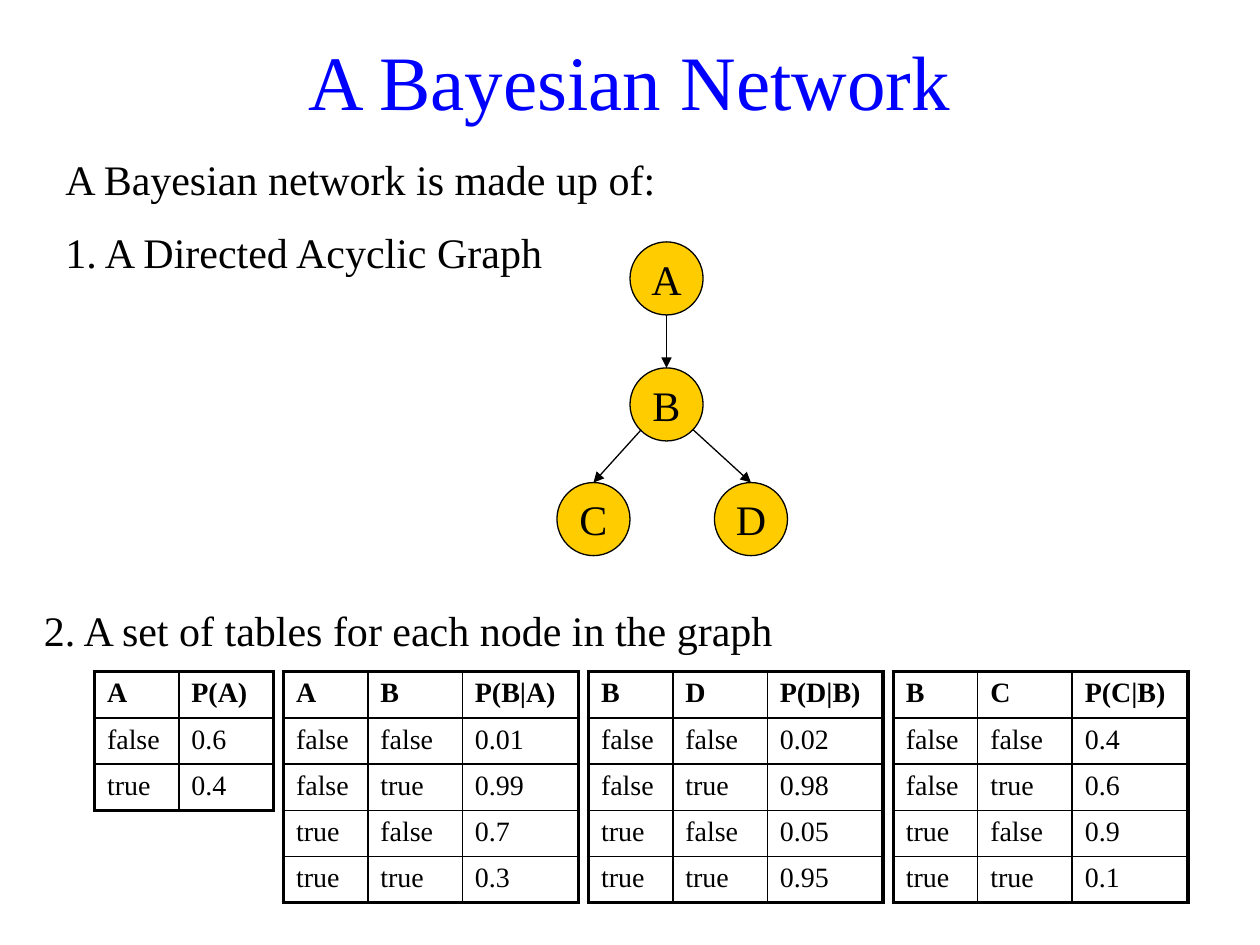
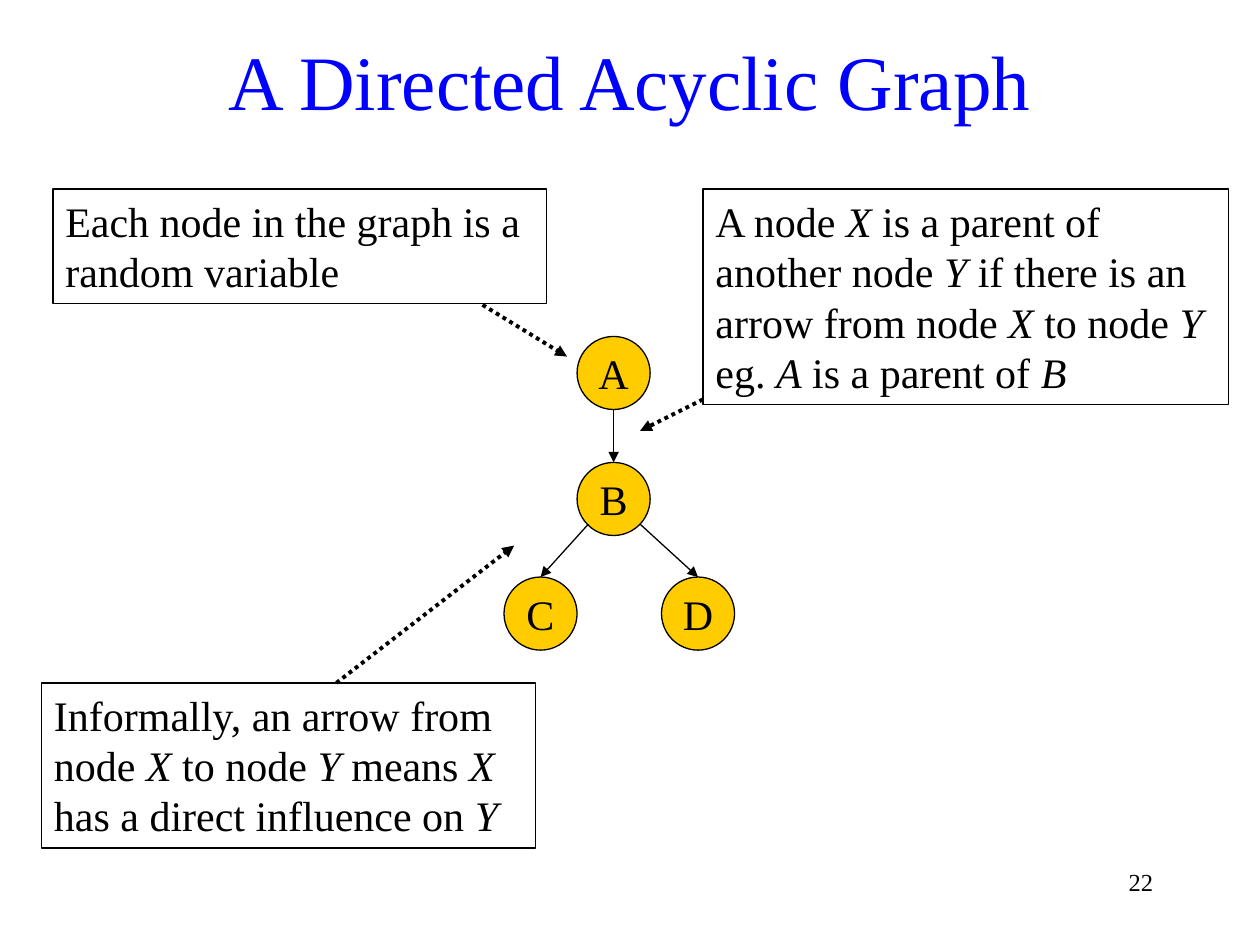
from itertools import product

from lxml import etree
from pptx import Presentation
from pptx.dml.color import RGBColor
from pptx.enum.dml import MSO_LINE
from pptx.enum.shapes import MSO_CONNECTOR, MSO_SHAPE
from pptx.enum.text import MSO_ANCHOR as Anchor, PP_ALIGN as Align
from pptx.oxml.ns import qn
from pptx.util import Inches, Pt

COLORS = {"title": "0000FF", "ink": "000000", "node": "FFCC00"}
FONT = "Times New Roman"
NODE_SIZE = 0.58
NODE_OFFSETS = {"A": (0, 0), "B": (0, 1), "C": (-0.58, 1.91), "D": (0.67, 1.91)}
# Parent, child, and the arrow's start within the parent's circle
EDGES = [("A", "B", 0.29, 0.58), ("B", "C", 0.09, 0.49), ("B", "D", 0.5, 0.49)]

TABLE_TOP, TABLE_GAP, ROW_HEIGHT = 5.33, 0.08, 0.35
VARIABLE_WIDTHS = {1: [0.67], 2: [0.67, 0.75]}
PROBABILITY_WIDTHS = {1: 0.75, 2: 0.92}
PROBABILITY_TABLES = [
    (("A",), "P(A)", ["0.6", "0.4"]),
    (("A", "B"), "P(B|A)", ["0.01", "0.99", "0.7", "0.3"]),
    (("B", "D"), "P(D|B)", ["0.02", "0.98", "0.05", "0.95"]),
    (("B", "C"), "P(C|B)", ["0.4", "0.6", "0.9", "0.1"]),
]


def color(name):
    return RGBColor.from_string(COLORS[name])


def set_attributes(target, values):
    for name, value in values.items():
        setattr(target, name, value)


class Deck:
    """Holds the shared style and the slide being built."""

    def __init__(self):
        self.presentation = Presentation()
        set_attributes(self.presentation, {"slide_width": Inches(10), "slide_height": Inches(7.5)})
        self.slide = None

    def add_slide(self, title):
        self.slide = self.presentation.slides.add_slide(self.presentation.slide_layouts[6])
        self.add_text(title, 0.75, 0.17, 8.5, 0.92, size=44, ink="title",
                      align=Align.CENTER, anchor=Anchor.MIDDLE)

    def fill_text(self, frame, text, size=24, ink="ink", bold=False, align=Align.LEFT,
                  anchor=Anchor.TOP, wrap=True):
        """Fill a text frame; parts between asterisks are italic."""
        set_attributes(frame, {"word_wrap": wrap, "vertical_anchor": anchor})
        paragraph = frame.paragraphs[0]
        paragraph.alignment = align
        for index, part in enumerate(text.split("*")):
            if part:
                run = paragraph.add_run()
                run.text = part
                set_attributes(run.font, {"name": FONT, "size": Pt(size), "bold": bold,
                                          "italic": index % 2 == 1})
                run.font.color.rgb = color(ink)

    def add_text(self, text, left, top, width, height, **style):
        box = self.slide.shapes.add_textbox(*map(Inches, (left, top, width, height)))
        self.fill_text(box.text_frame, text, **style)
        return box

    def outline(self, line, weight=0.75):
        line.color.rgb = color("ink")
        line.width = Pt(weight)

    def add_note(self, text, left, top, width, height):
        self.outline(self.add_text(text, left, top, width, height).line)

    def add_node(self, label, left, top):
        node = self.slide.shapes.add_shape(
            MSO_SHAPE.OVAL, *map(Inches, (left, top, NODE_SIZE, NODE_SIZE)))
        node.shadow.inherit = False
        node.fill.solid()
        node.fill.fore_color.rgb = color("node")
        self.outline(node.line)
        self.fill_text(node.text_frame, label, align=Align.CENTER, anchor=Anchor.MIDDLE,
                       wrap=False)
        return node

    def add_arrow(self, start, end, weight=0.75, dash=None):
        arrow = self.slide.shapes.add_connector(
            MSO_CONNECTOR.STRAIGHT, *map(Inches, (*start, *end)))
        self.outline(arrow.line, weight)
        if dash:
            arrow.line.dash_style = dash
        properties = arrow._element.spPr
        etree.SubElement(properties.find(qn("a:ln")), qn("a:tailEnd"), type="triangle")
        etree.SubElement(properties, qn("a:effectLst"))
        return arrow

    def add_pointer(self, start, end):
        self.add_arrow(start, end, weight=2.25, dash=MSO_LINE.ROUND_DOT)

    def add_graph(self, left, top):
        nodes = {label: self.add_node(label, left + dx, top + dy)
                 for label, (dx, dy) in NODE_OFFSETS.items()}
        for parent, child, start_x, start_y in EDGES:
            parent_x, parent_y = NODE_OFFSETS[parent]
            child_x, child_y = NODE_OFFSETS[child]
            arrow = self.add_arrow((left + parent_x + start_x, top + parent_y + start_y),
                                   (left + child_x + NODE_SIZE / 2, top + child_y))
            arrow.end_connect(nodes[child], 0)

    def add_borders(self, cell, thick_sides):
        properties = cell._tc.get_or_add_tcPr()
        for side in "LRTB":
            weight = Pt(2.25 if side in thick_sides else 1)
            line = etree.SubElement(properties, qn(f"a:ln{side}"), w=str(int(weight)))
            fill = etree.SubElement(line, qn("a:solidFill"))
            etree.SubElement(fill, qn("a:srgbClr"), val=COLORS["ink"])

    def add_probability_table(self, left, variables, heading, probabilities):
        """Draw one table and return its width."""
        count = len(variables)
        widths = VARIABLE_WIDTHS[count] + [PROBABILITY_WIDTHS[count]]
        cases = product(("false", "true"), repeat=count)
        rows = [(*variables, heading)]
        rows += [(*case, value) for case, value in zip(cases, probabilities)]
        table = self.slide.shapes.add_table(
            len(rows), len(widths), Inches(left), Inches(TABLE_TOP),
            Inches(sum(widths)), Inches(ROW_HEIGHT * len(rows))).table
        set_attributes(table, {"first_row": False, "horz_banding": False})
        for column, width in zip(table.columns, widths):
            column.width = Inches(width)
        last_row, last_column = len(rows) - 1, len(widths) - 1
        for r, row in enumerate(rows):
            for c, text in enumerate(row):
                cell = table.cell(r, c)
                outer = {"L": c == 0, "R": c == last_column, "T": r == 0, "B": r == last_row}
                self.add_borders(cell, [side for side, thick in outer.items() if thick])
                cell.fill.background()
                self.fill_text(cell.text_frame, text, size=16, bold=r == 0)
        return sum(widths)


def build_network_slide(deck):
    deck.add_slide("A Bayesian Network")
    deck.add_text("A Bayesian network is made up of:", 0.42, 1.17, 5, 0.58)
    deck.add_text("1. A Directed Acyclic Graph", 0.42, 1.75, 4.17, 0.5)
    deck.add_graph(5, 1.92)
    deck.add_text("2. A set of tables for each node in the graph", 0.25, 4.75, 7.17, 0.5)
    left = 0.75
    for content in PROBABILITY_TABLES:
        left += deck.add_probability_table(left, *content) + TABLE_GAP


def build_graph_slide(deck):
    deck.add_slide("A Directed Acyclic Graph")
    deck.add_graph(4.58, 2.67)
    deck.add_note("Each node in the graph is a random variable", 0.42, 1.5, 3.92, 0.91)
    deck.add_note("A node *X* is a parent of another node *Y* if there is an arrow from "
                  "node *X* to node *Y* eg. *A* is a parent of *B*", 5.58, 1.5, 4.17, 1.71)
    deck.add_note("Informally, an arrow from node *X* to node *Y* means *X* has a direct "
                  "influence on *Y*", 0.33, 5.42, 3.92, 1.31)
    deck.add_pointer((3.83, 2.42), (4.5, 2.83))
    deck.add_pointer((5.58, 3.17), (5.08, 3.42))
    deck.add_pointer((2.67, 5.42), (4.08, 4.33))
    deck.add_text("22", 8.17, 6.83, 1.08, 0.5, size=14, align=Align.RIGHT)


def main():
    deck = Deck()
    build_network_slide(deck)
    build_graph_slide(deck)
    deck.presentation.save("out.pptx")


if __name__ == "__main__":
    main()
